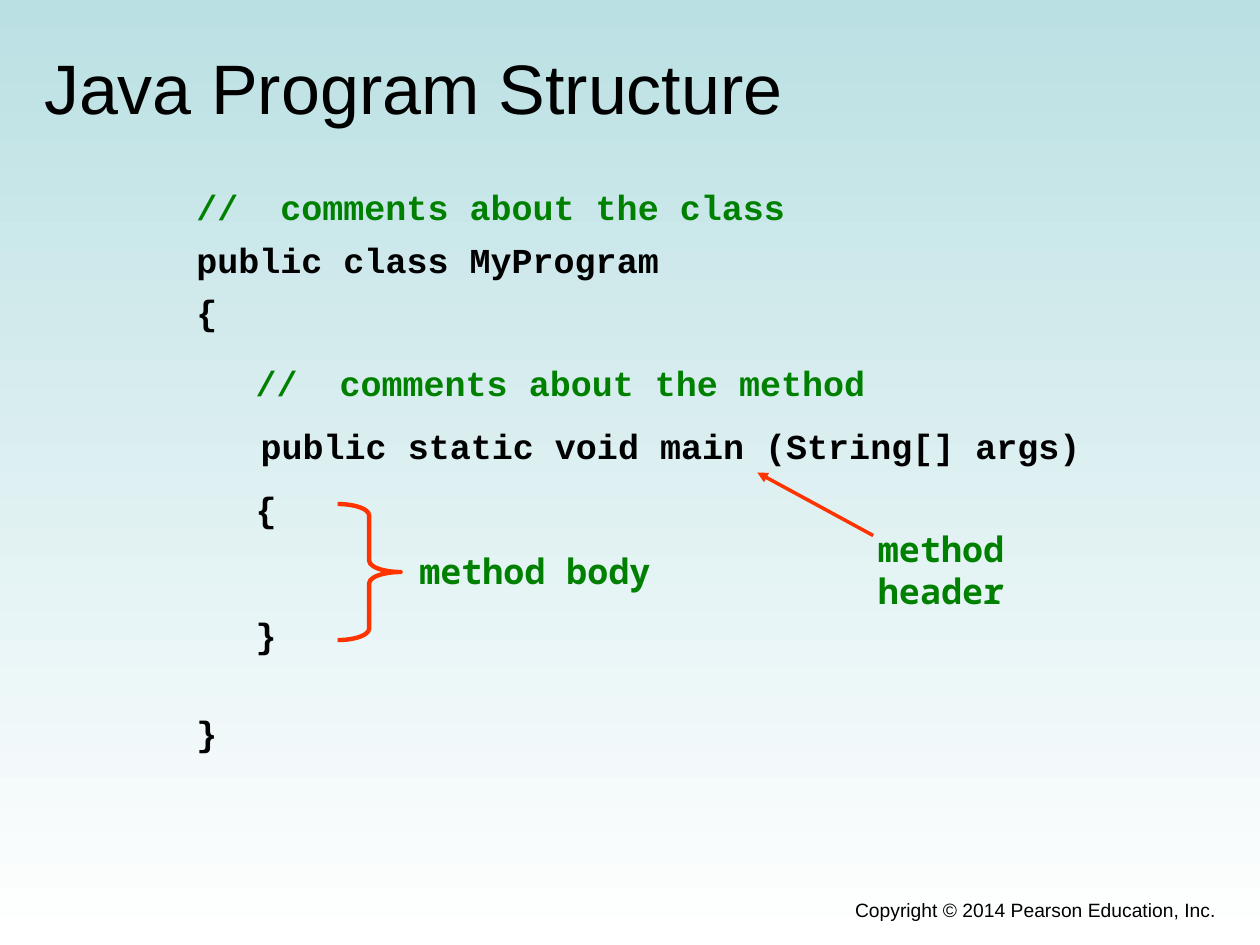
from pptx import Presentation
from pptx import util as u
from pptx.dml.color import RGBColor
from pptx.enum import shapes, text
from pptx.oxml.ns import qn
from lxml import etree

INK = {"text": "000000", "note": "008000", "mark": "FF3300",
       "top": "BBE0E3", "base": "FFFFFF"}
CODE, MONO, SANS = "Courier New", "Noto Sans Mono", "Arial"
COLS, ROWS = 100, 75
WIDE, HIGH = u.Inches(10), u.Inches(7.5)


def tint(name):
    """Return a named colour."""
    return RGBColor.from_string(INK[name])


def cell(box, x, y, w=0, h=0):
    """Turn grid units, counted from a region's corner, into lengths."""
    px, py = WIDE / COLS, HIGH / ROWS
    return [round(n) for n in ((box[0] + x) * px, (box[1] + y) * py, w * px, h * py)]


def style(frame, size, face, ink="text", bold=False):
    """Format every run of a text frame."""
    for para in frame.paragraphs:
        for run in para.runs:
            font = run.font
            font.size, font.name, font.bold = u.Pt(size), face, bold
            font.color.rgb = tint(ink)


def label(slide, spot, words, size=20, face=CODE, ink="text", bold=True):
    """Add a formatted text box and return its frame."""
    frame = slide.shapes.add_textbox(*spot).text_frame
    frame.word_wrap = True
    frame.text = words
    style(frame, size, face, ink, bold)
    return frame


def back(slide):
    """Fill the slide from top to bottom with a gradient."""
    fill = slide.background.fill
    fill.gradient()
    fill.gradient_angle = 270
    for stop, name in zip(fill.gradient_stops, ("top", "base")):
        stop.color.rgb = tint(name)


def head(slide, box):
    """Place and format the title."""
    title = slide.shapes.title
    title.left, title.top, title.width, title.height = cell(box, 0, 0, *box[2:])
    frame = title.text_frame
    frame.text = "Java Program Structure"
    frame.vertical_anchor = text.MSO_ANCHOR.MIDDLE
    frame.paragraphs[0].alignment = text.PP_ALIGN.LEFT
    style(frame, 40, SANS)


def code(slide, box):
    """Place the program's lines and its two pairs of braces."""
    lines = [(0, 0, 49, "//  comments about the class", "note"),
             (0, 4.2, 39.5, "public class MyProgram", "text"),
             (4.7, 14, 51, "//  comments about the method", "note"),
             (5.1, 19, 67.5, "public static void main (String[] args)", "text")]
    for x, y, w, words, ink in lines:
        label(slide, cell(box, x, y, w, 4.4), words, ink=ink)
    for x, y, h, gap in ((0, 8.4, 37.7, 216.5), (4.7, 24, 14.4, 48)):
        frame = label(slide, cell(box, x, y, 3.8, h), "{\n}")
        frame.paragraphs[1].space_before = u.Pt(gap)


def notes(slide, box):
    """Place the callouts with their brace and arrow."""
    for x, y, w, h, words in ((41.9, 1.4, 23.4, 7.7, "method header"),
                              (5.5, 3.1, 20.6, 4.4, "method body")):
        frame = label(slide, cell(box, x, y, w, h), words, face=MONO, ink="note")
        frame.paragraphs[0].line_spacing = u.Pt(24)
    brace = slide.shapes.add_shape(shapes.MSO_SHAPE.RIGHT_BRACE, *cell(box, 0, 0, 5, 10.8))
    brace.shadow.inherit = False
    brace.adjustments[0] = 0.18
    brace.fill.background()
    start, end = cell(box, 42.5, 2.5)[:2], cell(box, 33.3, -2.5)[:2]
    arrow = slide.shapes.add_connector(shapes.MSO_CONNECTOR.STRAIGHT, *start, *end)
    for shape, size in ((brace, 2.5), (arrow, 2)):
        shape.line.color.rgb = tint("mark")
        shape.line.width = u.Pt(size)
    props = arrow._element.spPr.find(qn("a:ln"))
    etree.SubElement(props, qn("a:tailEnd"), type="triangle")
    etree.SubElement(arrow._element.spPr, qn("a:effectLst"))


def foot(slide, box):
    """Place the copyright line."""
    frame = label(slide, cell(box, 0, 0, *box[2:]),
                  "Copyright © 2014 Pearson Education, Inc.", 11, SANS, bold=False)
    frame.paragraphs[0].alignment = text.PP_ALIGN.RIGHT


def main():
    """Build and save the slide."""
    deck = Presentation()
    deck.slide_width, deck.slide_height = WIDE, HIGH
    slide = deck.slides.add_slide(deck.slide_layouts[5])
    back(slide)
    head(slide, (2.5, 3, 95, 7.8))
    code(slide, (14.6, 14.2))
    notes(slide, (26.8, 40))
    foot(slide, (36.7, 70.8, 60.8, 3.4))
    deck.save("out.pptx")


if __name__ == "__main__":
    main()
